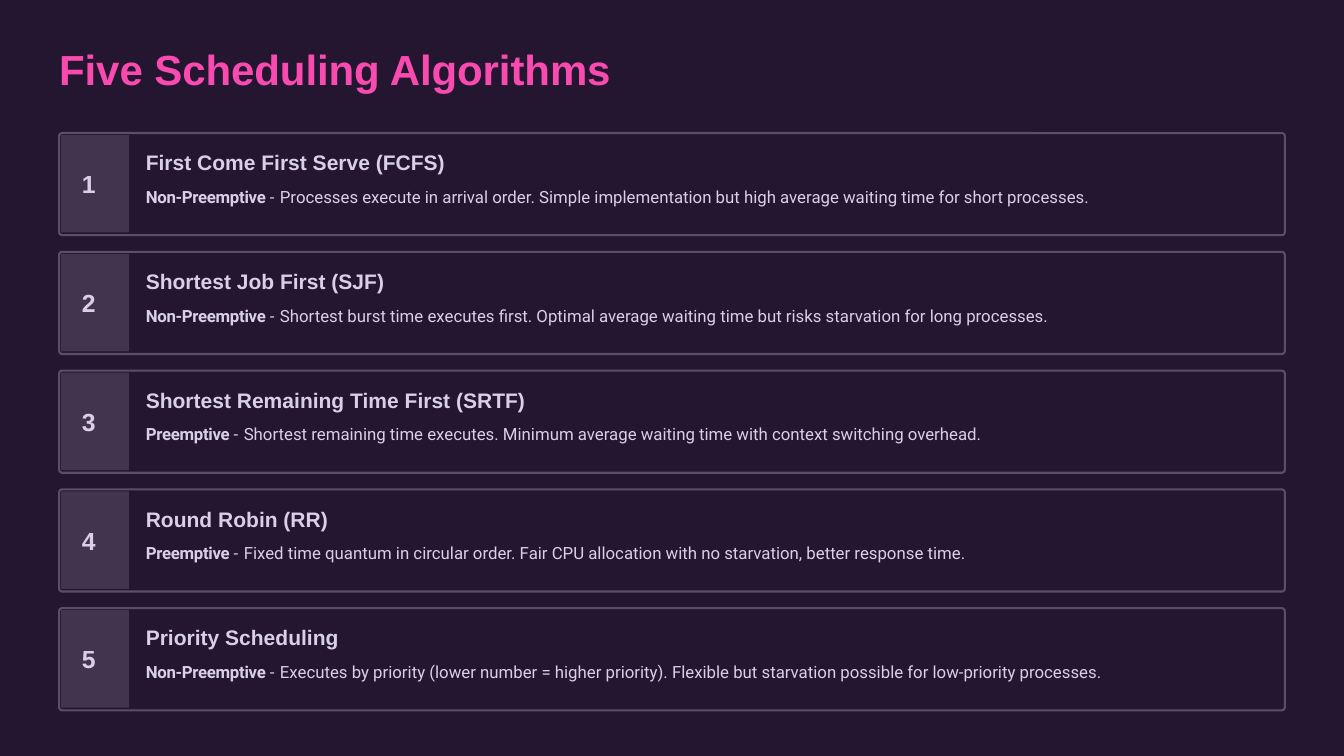
from pptx import Presentation
from pptx.dml.color import RGBColor
from pptx.enum import shapes, text
from pptx.util import Inches, Pt

BACKGROUND = RGBColor(0x24, 0x16, 0x31)
PINK = RGBColor(0xF9, 0x4B, 0xAF)
LAVENDER = RGBColor(0xD9, 0xD0, 0xE6)
BORDER = RGBColor(0x5C, 0x4E, 0x69)
BADGE = RGBColor(0x42, 0x34, 0x4F)

CARD_LEFT, CARD_WIDTH, CARD_HEIGHT = 0.88, 18.24, 1.52
FIRST_TOP, LAST_TOP = 1.98, 9.05

ALGORITHMS = [
    ("First Come First Serve (FCFS)", "Non-Preemptive",
     "Processes execute in arrival order. Simple implementation but high "
     "average waiting time for short processes."),
    ("Shortest Job First (SJF)", "Non-Preemptive",
     "Shortest burst time executes first. Optimal average waiting time but "
     "risks starvation for long processes."),
    ("Shortest Remaining Time First (SRTF)", "Preemptive",
     "Shortest remaining time executes. Minimum average waiting time with "
     "context switching overhead."),
    ("Round Robin (RR)", "Preemptive",
     "Fixed time quantum in circular order. Fair CPU allocation with no "
     "starvation, better response time."),
    ("Priority Scheduling", "Non-Preemptive",
     "Executes by priority (lower number = higher priority). Flexible but "
     "starvation possible for low-priority processes."),
]


def add_run(paragraph, wording, size, color=LAVENDER, font="Arial", bold=True, spacing=0):
    run = paragraph.add_run()
    run.text = wording
    run.font.name = font
    run.font.size = Pt(size)
    run.font.bold = bold
    run.font.color.rgb = color
    if spacing:
        run._r.get_or_add_rPr().set("spc", str(round(spacing * 100)))


def prepare_frame(shape, left=0, top=0, anchor=text.MSO_ANCHOR.TOP):
    frame = shape.text_frame
    frame.word_wrap = True
    frame.auto_size = text.MSO_AUTO_SIZE.NONE
    frame.vertical_anchor = anchor
    frame.margin_left, frame.margin_top = Inches(left), Inches(top)
    frame.margin_right = frame.margin_bottom = 0
    frame.paragraphs[0].alignment = text.PP_ALIGN.LEFT
    return frame


def add_box(slide, kind, left, top, width, height, fill):
    shape = slide.shapes.add_shape(
        kind, Inches(left), Inches(top), Inches(width), Inches(height))
    shape.shadow.inherit = False
    shape.fill.solid()
    shape.fill.fore_color.rgb = fill
    shape.line.fill.background()
    return shape


def add_title(slide, wording):
    title = slide.shapes.title
    title.left, title.top = Inches(0.87), Inches(0.64)
    title.width, title.height = Inches(8.5), Inches(0.78)
    frame = prepare_frame(title, left=0.01, top=0.01)
    add_run(frame.paragraphs[0], wording, 45, PINK, spacing=-0.1)


def add_frame(slide, top):
    card = add_box(slide, shapes.MSO_SHAPE.ROUNDED_RECTANGLE,
                   CARD_LEFT, top, CARD_WIDTH, CARD_HEIGHT, BACKGROUND)
    card.adjustments[0] = 0.03
    card.line.color.rgb = BORDER
    card.line.width = Pt(2.25)


def add_badge(slide, top, number):
    badge = add_box(slide, shapes.MSO_SHAPE.RECTANGLE,
                    CARD_LEFT + 0.03, top + 0.03, 1.01, 1.45, BADGE)
    frame = prepare_frame(badge, left=0.31, anchor=text.MSO_ANCHOR.MIDDLE)
    add_run(frame.paragraphs[0], str(number), 26.5, spacing=-0.5)


def add_description(slide, top, name, mode, summary):
    box = slide.shapes.add_textbox(
        Inches(2.16), Inches(top + 0.03), Inches(16.5), Inches(1.08))
    frame = prepare_frame(box, left=0.01, top=0.22)
    add_run(frame.paragraphs[0], name, 22.5)
    paragraph = frame.add_paragraph()
    paragraph.space_before = Pt(12.3)
    add_run(paragraph, mode + " ", 18, font="Roboto", spacing=-0.3)
    add_run(paragraph, "- ", 18, font="Roboto", bold=False, spacing=0.7)
    add_run(paragraph, summary, 18, font="Roboto", bold=False)


def main():
    presentation = Presentation()
    presentation.slide_width = Inches(20)
    presentation.slide_height = Inches(11.25)
    slide = presentation.slides.add_slide(presentation.slide_layouts[5])
    slide.background.fill.solid()
    slide.background.fill.fore_color.rgb = BACKGROUND

    add_title(slide, "Five Scheduling Algorithms")
    pitch = (LAST_TOP - FIRST_TOP) / (len(ALGORITHMS) - 1)
    for index, (name, mode, summary) in enumerate(ALGORITHMS):
        top = FIRST_TOP + index * pitch
        add_frame(slide, top)
        add_badge(slide, top, index + 1)
        add_description(slide, top, name, mode, summary)

    presentation.save("out.pptx")


if __name__ == "__main__":
    main()
